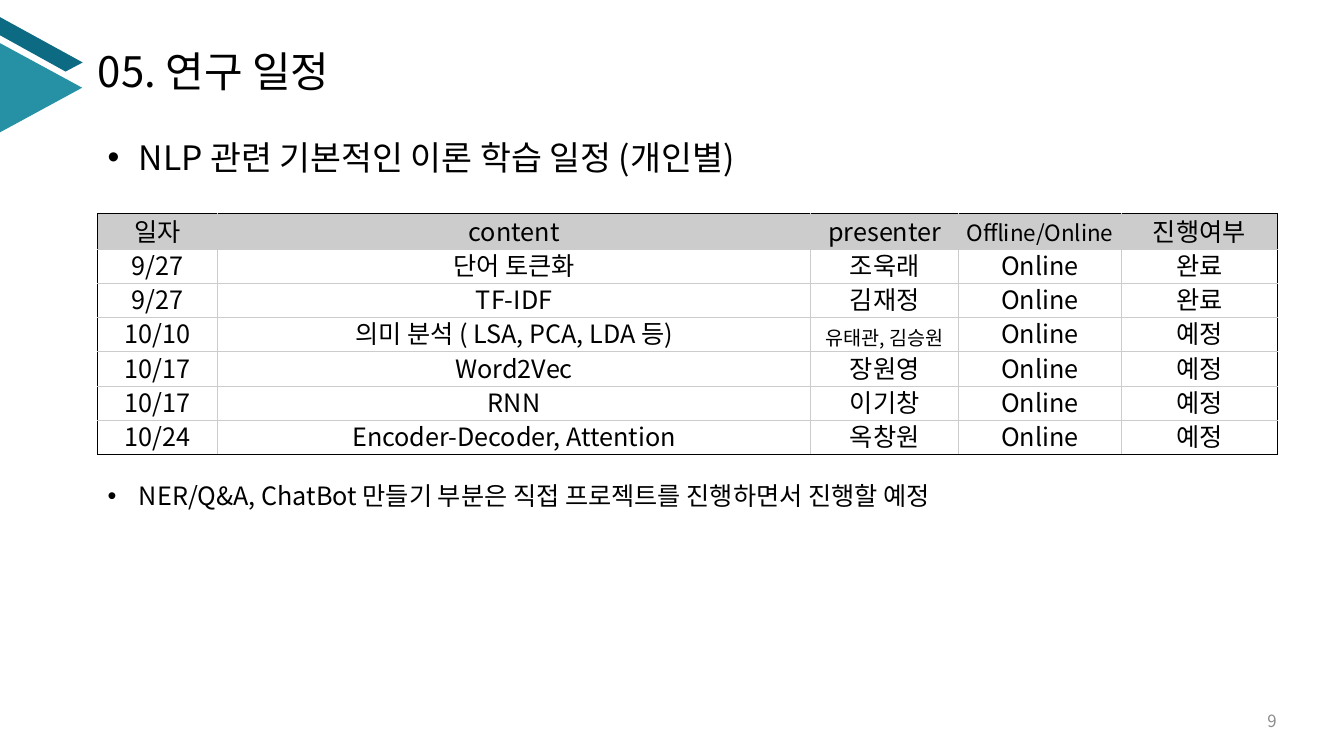
from lxml import etree
from pptx import Presentation
from pptx.dml.color import RGBColor
from pptx.enum.shapes import MSO_SHAPE
from pptx.enum.text import MSO_ANCHOR, PP_ALIGN
from pptx.oxml.ns import qn
from pptx.util import Inches, Pt

FONT = "Noto Sans CJK KR"
COLORS = {"text": "000000", "grid": "CCCCCC", "dark": "0C6A83",
          "teal": "2691A5", "number": "8C8C8C"}


def set_text(tf, text, size, color="text", align=PP_ALIGN.LEFT):
    tf.text = text
    p = tf.paragraphs[0]
    p.alignment = align
    font = p.runs[0].font
    font.name, font.size = FONT, Pt(size)
    font.color.rgb = RGBColor.from_string(COLORS[color])
    etree.SubElement(font._element, qn("a:ea"), typeface=FONT)
    return p


def add_text(left, top, width, height, text, size, **style):
    box = slide.shapes.add_textbox(Inches(left), Inches(top), Inches(width), Inches(height))
    box.text_frame.word_wrap = True
    return box.text_frame, set_text(box.text_frame, text, size, **style)


prs = Presentation()
prs.slide_width, prs.slide_height = Inches(13.33), Inches(7.5)
slide = prs.slides.add_slide(prs.slide_layouts[6])

# Title
tf, p = add_text(0.97, 0.4, 4.24, 0.61, "05. 연구 일정", 30)
tf.margin_left = tf.margin_right = 0

# Corner decoration
corner = [(Inches(x), Inches(y)) for x, y in [(0, 0.17), (0.82, 0.62), (0.65, 0.71), (0, 0.35)]]
builder = slide.shapes.build_freeform(*corner[0])
builder.add_line_segments(corner[1:], close=True)
band = builder.convert_to_shape()
triangle = slide.shapes.add_shape(MSO_SHAPE.ISOSCELES_TRIANGLE, Inches(-0.04), Inches(0.46),
                                  Inches(0.89), Inches(0.82))
triangle.rotation = 90
for sp, color in [(band, "dark"), (triangle, "teal")]:
    sp.shadow.inherit = False
    sp.fill.solid()
    sp.fill.fore_color.rgb = RGBColor.from_string(COLORS[color])
    sp.line.fill.background()

# Page number
tf, p = add_text(9.76, 6.95, 3, 0.4, "9", 12, color="number", align=PP_ALIGN.RIGHT)
tf.vertical_anchor = MSO_ANCHOR.MIDDLE

# Schedule table
schedule = [
    ["일자", "content", "presenter", "Offline/Online", "진행여부"],
    ["9/27", "단어 토큰화", "조욱래", "Online", "완료"],
    ["9/27", "TF-IDF", "김재정", "Online", "완료"],
    ["10/10", "의미 분석 ( LSA, PCA, LDA 등)", "유태관, 김승원", "Online", "예정"],
    ["10/17", "Word2Vec", "장원영", "Online", "예정"],
    ["10/17", "RNN", "이기창", "Online", "예정"],
    ["10/24", "Encoder-Decoder, Attention", "옥창원", "Online", "예정"],
]
widths = [1.19, 5.88, 1.47, 1.61, 1.55]
small_sizes = {"Offline/Online": 16, "유태관, 김승원": 14}
last_row, last_col = len(schedule) - 1, len(widths) - 1

table = slide.shapes.add_table(len(schedule), len(widths), Inches(0.97), Inches(2.12),
                               Inches(11.7), Inches(2.39)).table
table.horz_banding = False
for column, width in zip(table.columns, widths):
    column.width = Inches(width)
for row in table.rows:
    row.height = Inches(0.34)
table.rows[0].height = Inches(0.35)

for i, texts in enumerate(schedule):
    for j, text in enumerate(texts):
        cell = table.cell(i, j)
        cell.margin_left = cell.margin_right = Inches(0.03)
        cell.margin_top = cell.margin_bottom = Inches(0.02)
        cell.vertical_anchor = MSO_ANCHOR.BOTTOM
        p = set_text(cell.text_frame, text, small_sizes.get(text, 18), align=PP_ALIGN.CENTER)
        p.line_spacing = 0.82
        # Black outer frame, grey inner grid
        outer = {"lnL": j == 0, "lnR": j == last_col, "lnT": i == 0, "lnB": i == last_row}
        tcPr = cell._tc.get_or_add_tcPr()
        for side, is_outer in outer.items():
            ln = etree.SubElement(tcPr, qn(f"a:{side}"), w=str(Pt(0.75)))
            fill = etree.SubElement(ln, qn("a:solidFill"))
            etree.SubElement(fill, qn("a:srgbClr"), val=COLORS["text" if is_outer else "grid"])
        if i == 0:
            cell.fill.solid()
            cell.fill.fore_color.rgb = RGBColor.from_string(COLORS["grid"])
        else:
            cell.fill.background()

# Bullet lines
for top, width, height, size, text in [
    (1.31, 9.98, 0.5, 24, "NLP 관련 기본적인 이론 학습 일정 (개인별)"),
    (4.72, 12.36, 0.4, 18, "NER/Q&A, ChatBot 만들기 부분은 직접 프로젝트를 진행하면서 진행할 예정"),
]:
    tf, p = add_text(0.97, top, width, height, text, size)
    pPr = p._p.get_or_add_pPr()
    pPr.set("marL", str(Inches(0.31)))
    pPr.set("indent", str(-Inches(0.31)))
    etree.SubElement(pPr, qn("a:buFont"), typeface="Arial")
    etree.SubElement(pPr, qn("a:buChar"), char="•")

prs.save("out.pptx")
